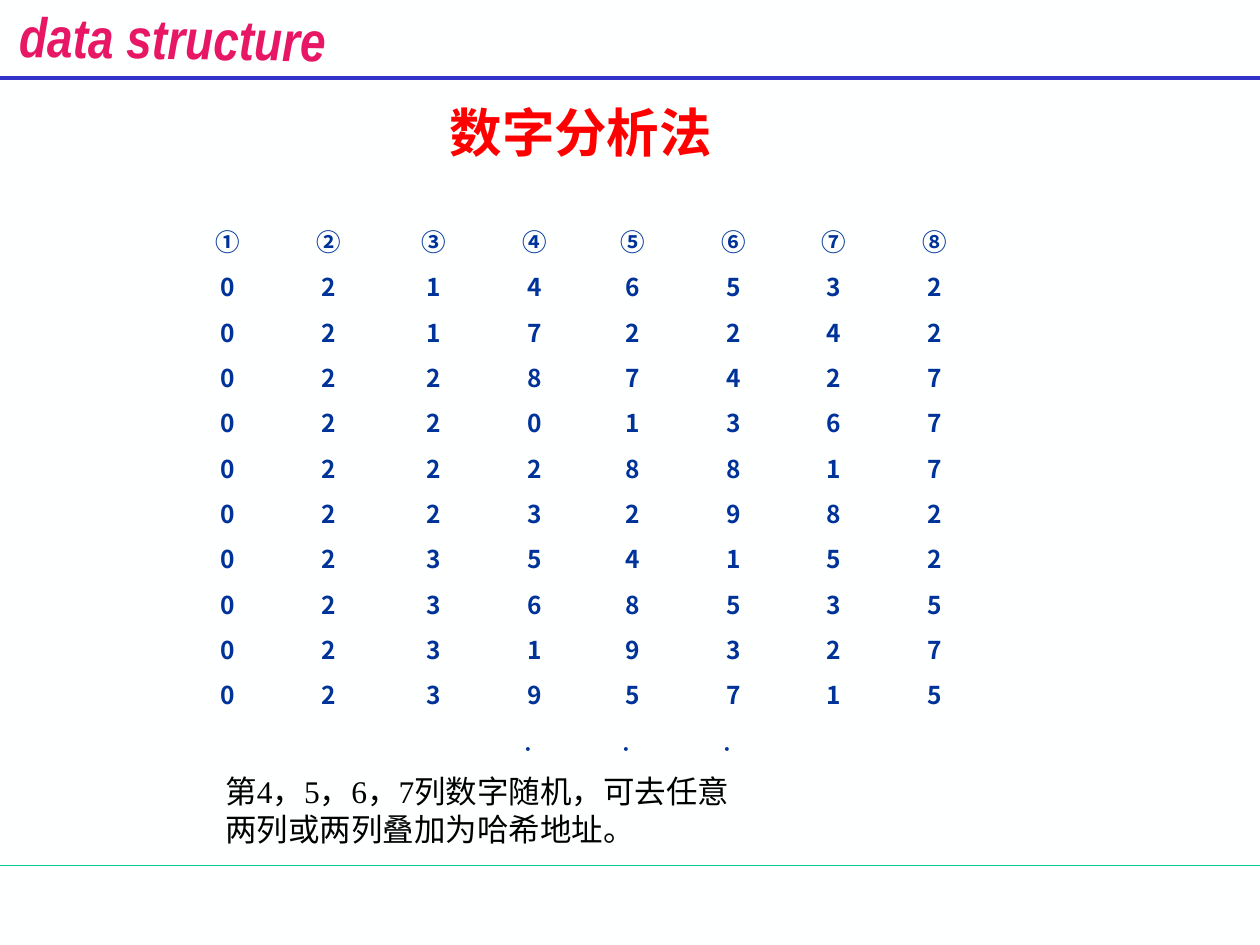
"""Build the slide on the digit analysis method for hash addresses."""
from lxml import etree
from pptx import Presentation
from pptx.dml.color import RGBColor
from pptx.enum.shapes import MSO_CONNECTOR
from pptx.enum.text import MSO_ANCHOR, PP_ALIGN
from pptx.oxml.ns import qn
from pptx.util import Inches, Pt

LINE = MSO_CONNECTOR.STRAIGHT
MID = MSO_ANCHOR.MIDDLE
CENTER = PP_ALIGN.CENTER

PAPER = RGBColor(0xFE, 0xFF, 0xFF)
BLUE = RGBColor(0x33, 0x33, 0xCC)
GREEN = RGBColor(0x00, 0xCC, 0x99)
PINK = RGBColor(0xE8, 0x17, 0x66)
RED = RGBColor(0xFF, 0x00, 0x00)
NAVY = RGBColor(0x00, 0x33, 0x99)
BLACK = RGBColor(0x00, 0x00, 0x00)

SANS = "Noto Sans CJK SC"
SERIF = "Times New Roman"
NARROW = "Arial Narrow"


def style(frame, face, size, color, bold=False, italic=False):
    for run in frame.paragraphs[0].runs:
        font = run.font
        font.name, font.size = face, Pt(size)
        font.bold, font.italic = bold, italic
        font.color.rgb = color
        east = etree.SubElement(run._r.get_or_add_rPr(), qn("a:ea"))
        east.set("typeface", SANS)


def add_text(text, left, top, width, height):
    box = slide.shapes.add_textbox(
        Inches(left), Inches(top), Inches(width), Inches(height))
    box.text_frame.word_wrap = True
    box.text_frame.text = text
    return box


deck = Presentation()
deck.slide_width, deck.slide_height = Inches(10), Inches(7.5)
slide = deck.slides.add_slide(deck.slide_layouts[6])
slide.background.fill.solid()
slide.background.fill.fore_color.rgb = PAPER

for top, color, weight in [(6.87, GREEN, 0.75), (0.62, BLUE, 2.25)]:
    rule = slide.shapes.add_connector(
        LINE, Inches(0), Inches(top), Inches(10), Inches(top))
    rule.line.color.rgb = color
    rule.line.width = Pt(weight)
    etree.SubElement(rule._element.spPr, qn("a:effectLst"))

brand = add_text("data structure", 0.02, -0.02, 2.7, 0.54)
brand.rotation = 0.8
brand.text_frame.paragraphs[0].alignment = CENTER
style(brand.text_frame, NARROW, 32, PINK, bold=True, italic=True)

title = add_text("数字分析法", 1.11, 0.67, 7, 0.75)
title.text_frame.vertical_anchor = MID
title.text_frame.paragraphs[0].alignment = CENTER
style(title.text_frame, SERIF, 30, RED, bold=True)

ROWS = [
    "①②③④⑤⑥⑦⑧",
    "02146532",
    "02172242",
    "02287427",
    "02201367",
    "02228817",
    "02232982",
    "02354152",
    "02368535",
    "02319327",
    "02395715",
    "   ．．．  ",
]
WIDTHS = [0.8, 0.8, 0.86, 0.75, 0.8, 0.8, 0.8, 0.8]
PITCH = 0.36

grid = slide.shapes.add_table(
    len(ROWS), len(WIDTHS), Inches(1.41), Inches(1.73),
    Inches(sum(WIDTHS)), Inches(PITCH * len(ROWS))).table
grid.first_row = grid.horz_banding = False
for col, width in zip(grid.columns, WIDTHS):
    col.width = Inches(width)
for r, marks in enumerate(ROWS):
    grid.rows[r].height = Inches(PITCH)
    for c, mark in enumerate(marks):
        cell = grid.cell(r, c)
        cell.fill.solid()
        cell.fill.fore_color.rgb = PAPER
        cell.vertical_anchor = MID
        cell.margin_left = cell.margin_right = Inches(0.07)
        cell.margin_top = cell.margin_bottom = Inches(0.04)
        cell.text_frame.text = mark.strip()
        cell.text_frame.paragraphs[0].alignment = CENTER
        style(cell.text_frame, SANS, 14, NAVY, bold=mark != "．")

note = add_text("第4，5，6，7列数字随机，可去任意两列或两列叠加为哈希地址。",
                1.69, 6.08, 4.34, 0.71)
style(note.text_frame, SERIF, 18, BLACK)

deck.save("out.pptx")
